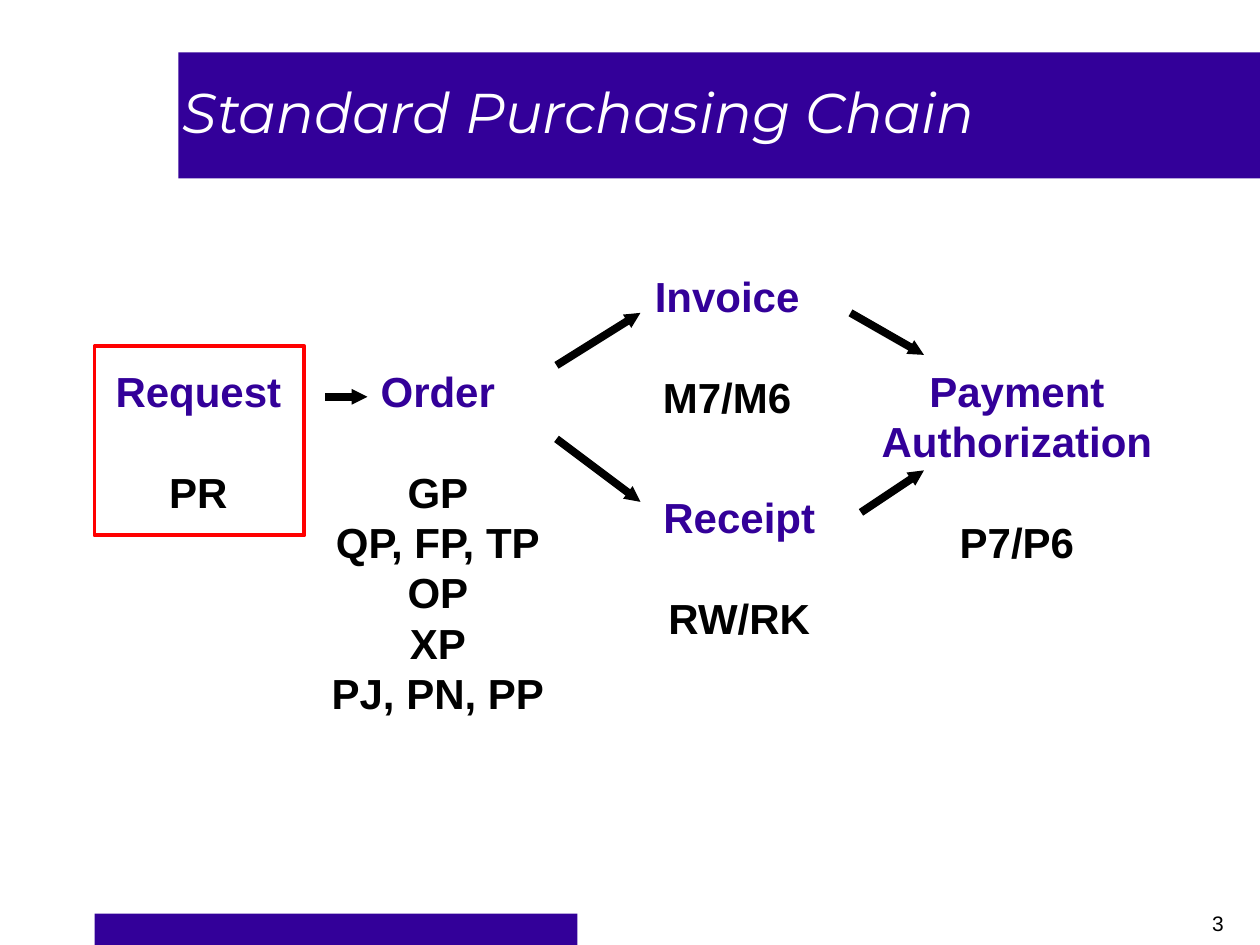
from lxml import etree
from pptx import Presentation
from pptx.dml.color import RGBColor
from pptx.enum.shapes import MSO_CONNECTOR, MSO_SHAPE
from pptx.enum.text import MSO_ANCHOR, PP_ALIGN
from pptx.oxml.ns import qn
from pptx.util import Inches, Pt

RECT = MSO_SHAPE.RECTANGLE
STRAIGHT = MSO_CONNECTOR.STRAIGHT
TOP, MIDDLE = MSO_ANCHOR.TOP, MSO_ANCHOR.MIDDLE
LEFT, CENTER = PP_ALIGN.LEFT, PP_ALIGN.CENTER
PURPLE, BLACK, WHITE, RED = "330099", "000000", "FFFFFF", "FF0000"
COLS, ROWS = 120, 90
LINE_PITCH = Pt(28.8)

BARS = [(9, 87, 46, 3), (17, 5, 103, 12)]
STEPS = [
    (10.4, 34.8, 17, ["Request"], ["PR"]),
    (31, 34.8, 21.4, ["Order"], ["GP", "QP, FP, TP", "OP", "XP", "PJ, PN, PP"]),
    (62.4, 46.8, 16, ["Receipt"], ["RW/RK"]),
    (61.8, 25.8, 14.9, ["Invoice"], ["M7/M6"]),
    (83.4, 34.8, 26.9, ["Payment", "Authorization"], ["P7/P6"]),
]
ARROWS = [
    (31, 37.8, 35, 37.8),
    (53, 41.8, 61, 47.8),
    (53, 34.8, 61, 29.8),
    (82, 48.8, 88, 44.8),
    (81, 29.8, 88, 33.8),
]


def color(value):
    """Turn a hex string into a colour."""
    return RGBColor.from_string(value)


def grid(*cells):
    """Turn alternating columns and rows into lengths."""
    sizes = (10 / COLS, 7.5 / ROWS)
    return [Inches(n * sizes[i % 2]) for i, n in enumerate(cells)]


def add_box(s, cells, fill=None, line=None):
    """Add a rectangle with an optional fill and outline."""
    sp = s.shapes.add_shape(RECT, *grid(*cells))
    sp.shadow.inherit = False
    if fill:
        sp.fill.solid()
        sp.fill.fore_color.rgb = color(fill)
    else:
        sp.fill.background()
    if line:
        sp.line.color.rgb = color(line)
        sp.line.width = Pt(2.25)
    else:
        sp.line.fill.background()


def add_frame(s, cells, inset=0, anchor=TOP, wrap=True):
    """Add an empty text box and return its text frame."""
    tf = s.shapes.add_textbox(*grid(*cells)).text_frame
    tf.word_wrap = wrap
    tf.vertical_anchor = anchor
    tf.margin_left = tf.margin_right = Inches(inset)
    tf.margin_top = tf.margin_bottom = Inches(inset)
    return tf


def add_run(p, text, size, fill, font="Arial", bold=False, italic=False):
    """Add one formatted run to a paragraph."""
    r = p.add_run()
    r.text = text
    r.font.name, r.font.size = font, Pt(size)
    r.font.bold, r.font.italic = bold, italic
    r.font.color.rgb = color(fill)


def add_step(s, left, top, width, names, codes):
    """Add a step name with its document codes one line below."""
    lines = names + codes
    tf = add_frame(s, (left, top, width, 4.8 * (len(lines) + 1)), wrap=False)
    for i, text in enumerate(lines):
        p = tf.add_paragraph() if i else tf.paragraphs[0]
        p.alignment = CENTER
        p.line_spacing = LINE_PITCH
        if i == len(names):
            p.space_before = LINE_PITCH
        add_run(p, text, 24, PURPLE if i < len(names) else BLACK, bold=True)


def add_arrow(s, cells):
    """Add a thick black arrow between two grid points."""
    c = s.shapes.add_connector(STRAIGHT, *grid(*cells))
    c.line.color.rgb = color(BLACK)
    c.line.width = Pt(4.5)
    ln = c.line._get_or_add_ln()
    etree.SubElement(ln, qn("a:tailEnd"), type="triangle", w="sm", len="sm")
    etree.SubElement(c._element.spPr, qn("a:effectLst"))


def add_label(s, cells, text, size, fill, align, spacing=1.0, **style):
    """Add a single line of text centred vertically in its box."""
    p = add_frame(s, cells, 0.05, MIDDLE).paragraphs[0]
    p.alignment = align
    p.line_spacing = spacing
    add_run(p, text, size, fill, **style)


def main():
    """Build and save the purchasing chain slide."""
    prs = Presentation()
    prs.slide_width, prs.slide_height = grid(COLS, ROWS)
    s = prs.slides.add_slide(prs.slide_layouts[6])
    for bar in BARS:
        add_box(s, bar, fill=PURPLE)
    add_label(s, (16.8, 5, 97.2, 12), "Standard Purchasing Chain", 32, WHITE,
              LEFT, spacing=0.9, font="Montserrat", italic=True)
    add_label(s, (113, 86, 6, 3.8), "3", 12, BLACK, CENTER)
    for step in STEPS:
        add_step(s, *step)
    for arrow in ARROWS:
        add_arrow(s, arrow)
    add_box(s, (9, 33, 20, 18), line=RED)
    prs.save("out.pptx")


if __name__ == "__main__":
    main()
